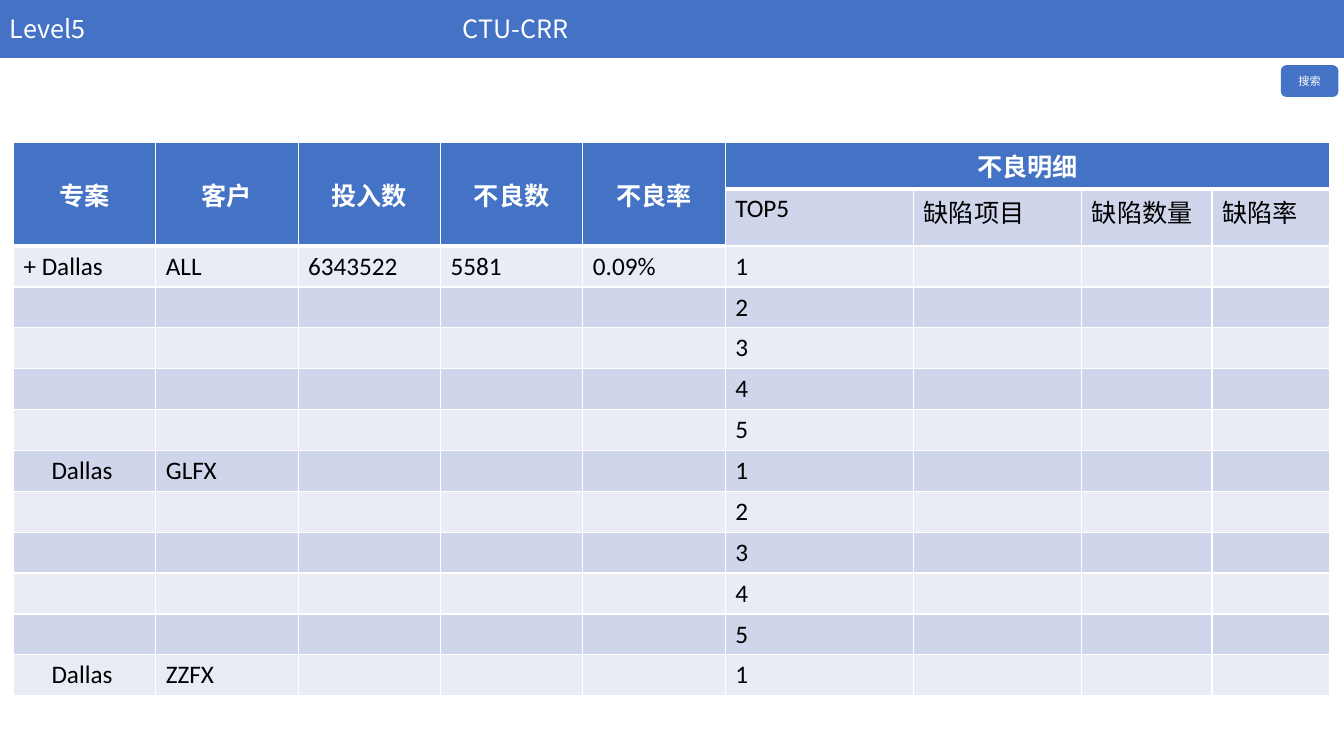
from lxml.etree import SubElement
from pptx import Presentation
from pptx.dml.color import RGBColor
from pptx.enum.shapes import MSO_SHAPE
from pptx.enum.text import MSO_ANCHOR, PP_ALIGN
from pptx.oxml.ns import qn
from pptx.util import Pt

BLUE, WHITE, BLACK = "4472C4", "FFFFFF", "000000"
BANDS = ("CFD5EA", "E9EBF5")


def color(value):
    return RGBColor.from_string(value)


def write(tf, text, font="Calibri", size=18, fill=BLACK, bold=False,
          align=PP_ALIGN.LEFT, anchor=MSO_ANCHOR.TOP):
    tf.word_wrap = True
    tf.vertical_anchor = anchor
    p = tf.paragraphs[0]
    p.alignment = align
    p.font.size = Pt(size)
    r = p.add_run()
    r.text = text
    r.font.name = font
    r.font.size = Pt(size)
    r.font.bold = bold
    r.font.color.rgb = color(fill)
    return p


def add_tab_stop(p, pos):
    tabs = SubElement(p._p.get_or_add_pPr(), qn("a:tabLst"))
    SubElement(tabs, qn("a:tab"), pos=str(Pt(pos)), algn="l")


def set_borders(cell, top=1, bottom=1):
    tcPr = cell._tc.get_or_add_tcPr()
    for side, width in (("L", 1), ("R", 1), ("T", top), ("B", bottom)):
        ln = SubElement(tcPr, qn(f"a:ln{side}"), w=str(Pt(width)))
        SubElement(SubElement(ln, qn("a:solidFill")), qn("a:srgbClr"), val=WHITE)


class Slide:
    """Holds the shape style and the current slide."""
    font = "Noto Sans CJK SC"

    def __init__(self, prs):
        self.s = prs.slides.add_slide(prs.slide_layouts[6])

    def box(self, kind, x, y, w, h, text, size, align=PP_ALIGN.LEFT):
        sp = self.s.shapes.add_shape(kind, Pt(x), Pt(y), Pt(w), Pt(h))
        sp.shadow.inherit = False
        sp.fill.solid()
        sp.fill.fore_color.rgb = color(BLUE)
        sp.line.fill.background()
        return write(sp.text_frame, text, font=self.font, size=size, fill=WHITE,
                     align=align, anchor=MSO_ANCHOR.MIDDLE)

    def table(self, x, y, widths, heights):
        frame = self.s.shapes.add_table(len(heights), len(widths), Pt(x), Pt(y),
                                        Pt(sum(widths)), Pt(sum(heights)))
        tbl = frame.table
        tbl.first_row = tbl.horz_banding = False
        for col, width in zip(tbl.columns, widths):
            col.width = Pt(width)
        for row, height in zip(tbl.rows, heights):
            row.height = Pt(height)
        return tbl

    def cell(self, tbl, row, col, text, fill, indent=0, top=1, bottom=1, **fmt):
        cell = tbl.cell(row, col)
        set_borders(cell, top, bottom)
        cell.fill.solid()
        cell.fill.fore_color.rgb = color(fill)
        cell.margin_left = Pt(7.2 + indent)
        anchor = fmt.pop("anchor", MSO_ANCHOR.TOP)
        cell.vertical_anchor = anchor
        if text:
            write(cell.text_frame, text, **fmt)
            cell.text_frame.vertical_anchor = None
        else:
            cell.text_frame.paragraphs[0].font.size = Pt(18)


def main():
    prs = Presentation()
    prs.slide_width, prs.slide_height = Pt(960), Pt(540)
    slide = Slide(prs)

    # Title bar and search button
    title = slide.box(MSO_SHAPE.FLOWCHART_PROCESS, 0, 0, 960, 41.2,
                      "Level5\tCTU-CRR", 18)
    add_tab_stop(title, 323.5)
    slide.box(MSO_SHAPE.ROUNDED_RECTANGLE, 915, 46.6, 41, 22.6, "搜索", 8,
              PP_ALIGN.CENTER)

    # Table grid
    heads = ["专案", "客户", "投入数", "不良数", "不良率"]
    details = ["TOP5", "缺陷项目", "缺陷数量", "缺陷率"]
    n = len(heads)
    projects = {0: ["+ Dallas", "ALL", "6343522", "5581", "0.09%"],
                5: ["Dallas", "GLFX"], 10: ["Dallas", "ZZFX"]}
    tbl = slide.table(9.6, 101.5, [101.7] * n + [134.6, 120.2, 92.9, 84.2],
                      [28.8, 41] + [28.4] * 11)

    # Header rows
    head = dict(fill=BLUE, bottom=3)
    head_text = dict(bold=True, align=PP_ALIGN.CENTER)
    for col in range(n + len(details)):
        text = (heads + ["不良明细"] + [""] * 3)[col]
        anchor = MSO_ANCHOR.MIDDLE if col < n else MSO_ANCHOR.TOP
        cell_format = dict(head_text, anchor=anchor)
        slide.cell(tbl, 0, col, text, BLUE, bottom=3, **dict(cell_format))
        if text:
            run = tbl.cell(0, col).text_frame.paragraphs[0].runs[0]
            run.font.color.rgb = color(WHITE)
        if col < n:
            slide.cell(tbl, 1, col, "", **head)
            tbl.cell(0, col).merge(tbl.cell(1, col))
        else:
            slide.cell(tbl, 1, col, details[col - n], BANDS[0], top=3)
    tbl.cell(0, n).merge(tbl.cell(0, n + 3))

    # Five ranks for each customer
    for i in range(11):
        values = projects.get(i, [])
        values = values + [""] * (n - len(values)) + [str(i % 5 + 1)] + [""] * 3
        for col, text in enumerate(values):
            slide.cell(tbl, i + 2, col, text, BANDS[(i + 1) % 2],
                       indent=20 if i and col == 0 else 0,
                       top=3 if i == 0 and col < n else 1)

    prs.save("out.pptx")


if __name__ == "__main__":
    main()
